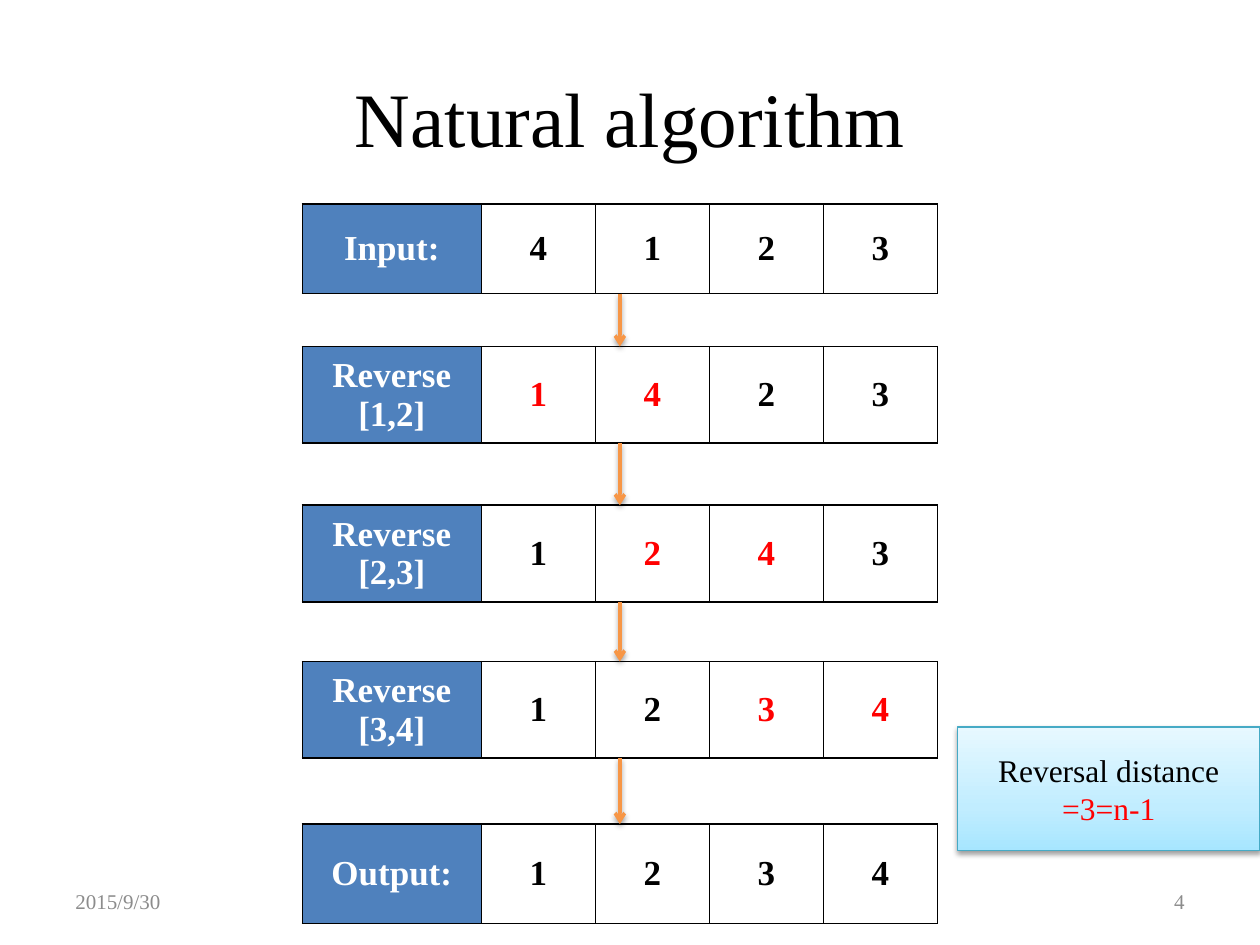
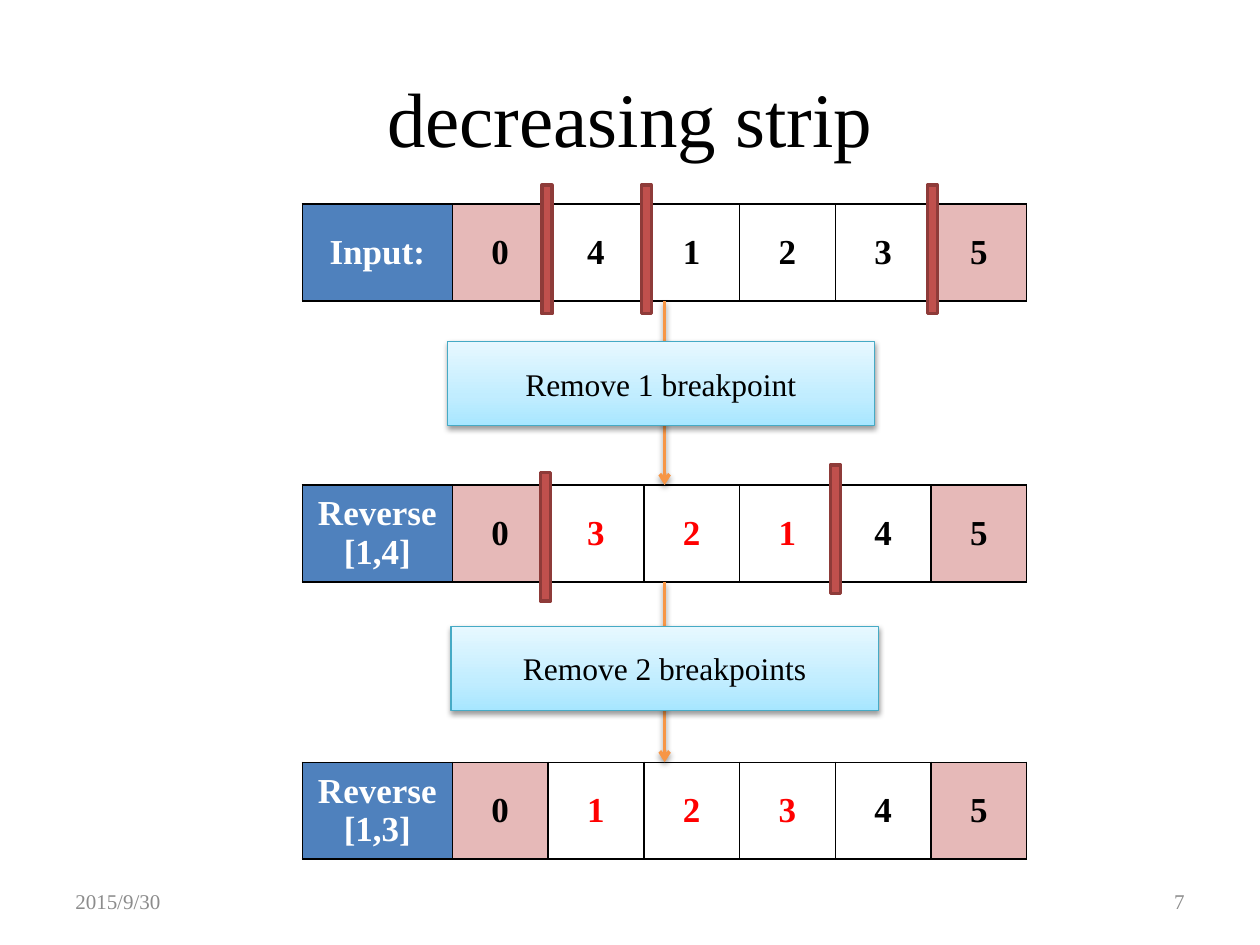
from copy import deepcopy
from itertools import cycle, pairwise

from lxml import etree
from pptx import Presentation
from pptx.dml.color import RGBColor as RGB
from pptx.enum.shapes import MSO_CONNECTOR as CONN, MSO_SHAPE as SHAPE
from pptx.enum.text import MSO_ANCHOR as ANCHOR, PP_ALIGN as ALIGN
from pptx.oxml import parse_xml
from pptx.oxml.ns import nsdecls, qn
from pptx.util import Inches, Pt

FONT = "Times New Roman"
BLACK = RGB(0x00, 0x00, 0x00)
WHITE = RGB(0xFF, 0xFF, 0xFF)
RED = RGB(0xFF, 0x00, 0x00)
GREY = RGB(0x8C, 0x8C, 0x8C)
BLUE = RGB(0x4F, 0x81, 0xBD)
PINK = RGB(0xE6, 0xB9, 0xB8)
ORANGE = RGB(0xF7, 0x96, 0x46)
TEAL = RGB(0x46, 0xAA, 0xC5)
BRICK = RGB(0xC0, 0x50, 0x4D)
DARK_BRICK = RGB(0x8E, 0x3B, 0x39)
CALLOUT_STOPS = [(0, RGB(0xA7, 0xE6, 0xFF)), (0.35, RGB(0xC1, 0xED, 0xFF)),
                 (1, RGB(0xE7, 0xF8, 0xFF))]

STRIP_LEFT = 2.4
TWO_LINE_ROW = 0.71
BAR_WIDTH, BAR_HEIGHT = 0.08, 1.02
DATE = "2015/9/30"

SHADOW = (f'<a:effectLst {nsdecls("a")}>'
          '<a:outerShdw blurRad="40000" dist="20000" dir="5400000" rotWithShape="0">'
          '<a:srgbClr val="000000"><a:alpha val="38000"/></a:srgbClr>'
          '</a:outerShdw></a:effectLst>')


def write(tf, text, size=18, colors=(BLACK,), bold=False, align=ALIGN.CENTER):
    """Fill a frame with one paragraph a line, taking the colors in turn."""
    tf.word_wrap = True
    for i, (line, color) in enumerate(zip(text.split("\n"), cycle(colors))):
        p = tf.add_paragraph() if i else tf.paragraphs[0]
        p.alignment = align
        r = p.add_run()
        r.text = line
        r.font.name = FONT
        r.font.size = Pt(size)
        r.font.bold = bold
        r.font.color.rgb = color


def add_borders(cell):
    tcPr = cell._tc.get_or_add_tcPr()
    for i, side in enumerate("LRTB"):
        tcPr.insert(i, parse_xml(
            f'<a:ln{side} {nsdecls("a")} w="12700"><a:solidFill>'
            f'<a:srgbClr val="{BLACK}"/></a:solidFill></a:ln{side}>'))


class Deck:
    def __init__(self):
        self.prs = Presentation()
        self.prs.slide_width = Inches(10)
        self.prs.slide_height = Inches(7.5)
        self.slide = None

    def new_slide(self, title, number):
        self.slide = self.prs.slides.add_slide(self.prs.slide_layouts[6])
        self.text(title, 0.5, 0.3, 9, 1.25, size=44)
        self.text(DATE, 0.5, 6.95, 2.33, 0.4, size=12, colors=[GREY], align=ALIGN.LEFT)
        self.text(number, 7.17, 6.95, 2.33, 0.4, size=12, colors=[GREY], align=ALIGN.RIGHT)

    def text(self, text, x, y, w, h, **fmt):
        sp = self.slide.shapes.add_textbox(Inches(x), Inches(y), Inches(w), Inches(h))
        sp.text_frame.vertical_anchor = ANCHOR.MIDDLE
        write(sp.text_frame, text, **fmt)

    def rect(self, x, y, w, h, line, line_width):
        sp = self.slide.shapes.add_shape(SHAPE.RECTANGLE, Inches(x), Inches(y),
                                         Inches(w), Inches(h))
        sp.shadow.inherit = False
        sp.line.color.rgb = line
        sp.line.width = Pt(line_width)
        return sp

    def breakpoint_bar(self, x, y):
        sp = self.rect(x, y, BAR_WIDTH, BAR_HEIGHT, DARK_BRICK, 2)
        sp.fill.solid()
        sp.fill.fore_color.rgb = BRICK

    def callout(self, text, x, y, w, h, colors=(BLACK,)):
        sp = self.rect(x, y, w, h, TEAL, 0.75)
        sp.fill.gradient()
        sp.fill.gradient_angle = 90
        spPr = sp._element.spPr
        stops = spPr.find(".//" + qn("a:gsLst"))
        stops.insert(1, deepcopy(stops[0]))
        for stop, (position, color) in zip(sp.fill.gradient_stops, CALLOUT_STOPS):
            stop.position = position
            stop.color.rgb = color
        spPr.replace(spPr.find(qn("a:effectLst")), parse_xml(SHADOW))
        sp.text_frame.vertical_anchor = ANCHOR.MIDDLE
        write(sp.text_frame, text, colors=colors)

    def arrow_down(self, x, top, bottom):
        cn = self.slide.shapes.add_connector(CONN.STRAIGHT, Inches(x), Inches(top),
                                             Inches(x), Inches(bottom))
        cn.line.color.rgb = ORANGE
        cn.line.width = Pt(2)
        etree.SubElement(cn.line._get_or_add_ln(), qn("a:tailEnd"), type="arrow")
        cn._element.spPr.append(parse_xml(SHADOW))

    def strip(self, label, values, changed, top, height, width, label_width, ends):
        """Draw one row: changed values are red, end markers have a pink cell."""
        frame = self.slide.shapes.add_table(1, len(values) + 1, Inches(STRIP_LEFT),
                                            Inches(top), Inches(width), Inches(height))
        table = frame.table
        value_width = (width - label_width) / len(values)
        for i, text in enumerate([label, *values]):
            table.columns[i].width = Inches(value_width if i else label_width)
            cell = table.cell(0, i)
            cell.vertical_anchor = ANCHOR.MIDDLE
            cell.fill.solid()
            if i == 0:
                fill, color = BLUE, WHITE
            else:
                fill = PINK if text in ends else WHITE
                color = RED if text in changed else BLACK
            cell.fill.fore_color.rgb = fill
            write(cell.text_frame, text, size=20, colors=[color], bold=True)
            add_borders(cell)
        if "\n" in label:
            table.rows[0].height = Inches(TWO_LINE_ROW)
            frame.height = Inches(height)

    def strips(self, rows, width, label_width, ends=""):
        """Stack the rows and point an arrow from each to the next."""
        for row in rows:
            self.strip(*row, width, label_width, ends)
        for (*_, top, height), (*_, next_top, _) in pairwise(rows):
            self.arrow_down(STRIP_LEFT + width / 2, top + height, next_top)


def natural_algorithm(deck):
    deck.new_slide("Natural algorithm", "4")
    deck.strips([
        ("Input:", "4123", "", 1.62, 0.71),
        ("Reverse\n[1,2]", "1423", "14", 2.75, 0.77),
        ("Reverse\n[2,3]", "1243", "24", 4.01, 0.77),
        ("Reverse\n[3,4]", "1234", "34", 5.25, 0.77),
        ("Output:", "1234", "", 6.54, 0.79),
    ], width=5.04, label_width=1.42)
    deck.callout("Reversal distance\n=3=n-1", 7.6, 5.77, 2.4, 0.98, colors=[BLACK, RED])


def decreasing_strip(deck):
    deck.new_slide("decreasing strip", "7")
    deck.strips([
        ("Input:", "041235", "", 1.62, 0.77),
        ("Reverse\n[1,4]", "032145", "321", 3.85, 0.77),
        ("Reverse\n[1,3]", "012345", "123", 6.05, 0.77),
    ], width=5.75, label_width=1.19, ends="05")
    deck.callout("Remove 1 breakpoint", 3.55, 2.71, 3.39, 0.67)
    deck.callout("Remove 2 breakpoints", 3.58, 4.97, 3.39, 0.67)
    for x, y in [(4.3, 1.47), (5.09, 1.47), (7.36, 1.47), (4.29, 3.75), (6.59, 3.69)]:
        deck.breakpoint_bar(x, y)


def main():
    deck = Deck()
    natural_algorithm(deck)
    decreasing_strip(deck)
    deck.prs.save("out.pptx")


if __name__ == "__main__":
    main()
